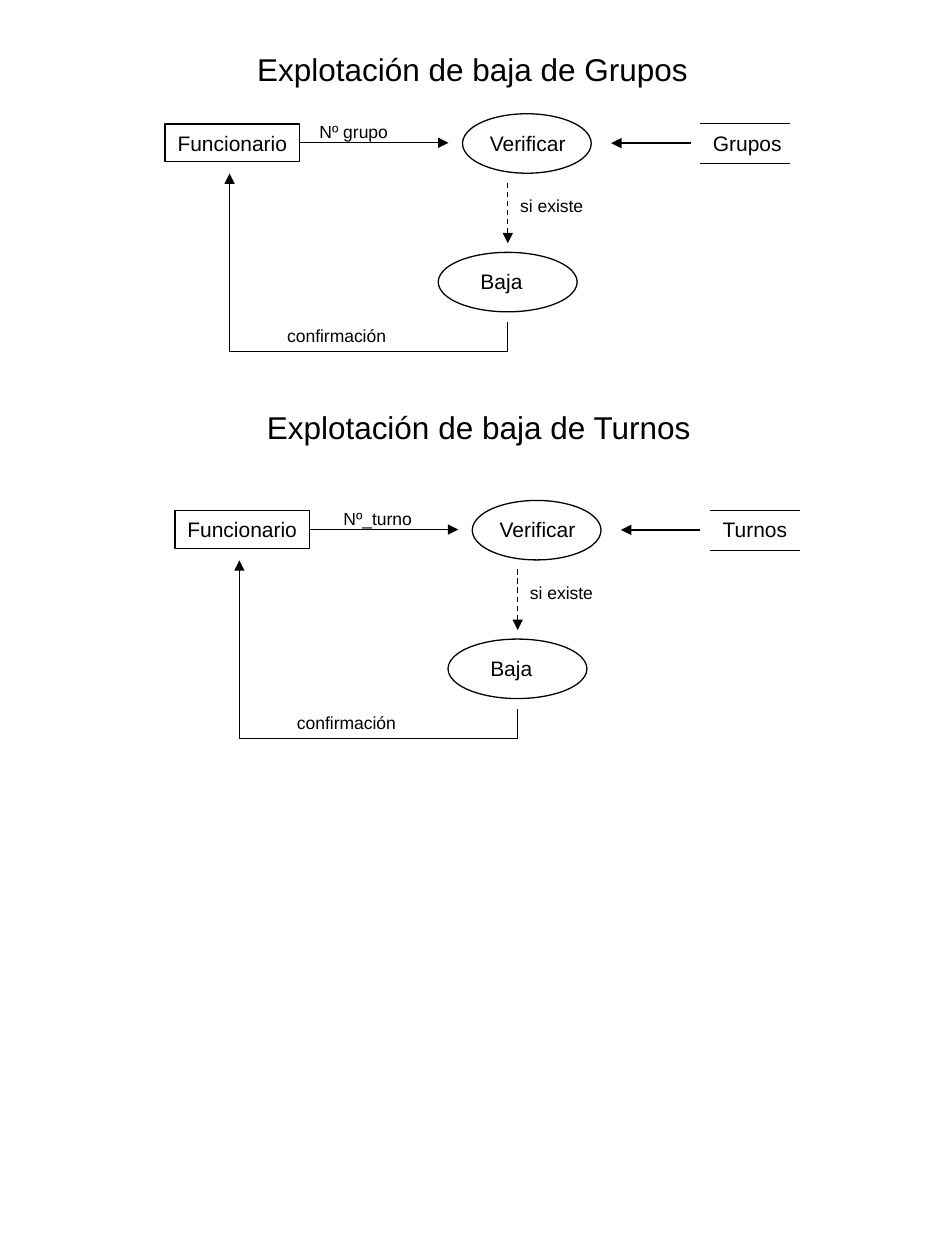
"""Build the slide with the data flows for deleting groups and shifts."""
from dataclasses import dataclass

from lxml import etree
from pptx import Presentation
from pptx.dml.color import RGBColor
from pptx.enum.dml import MSO_LINE
from pptx.enum.shapes import MSO_CONNECTOR as Connector, MSO_SHAPE as Preset
from pptx.enum.text import MSO_ANCHOR as Anchor, MSO_AUTO_SIZE as AutoSize, PP_ALIGN as Align
from pptx.oxml.ns import qn
from pptx.util import Pt


@dataclass(frozen=True)
class Theme:
    font: str = "Arial"
    ink: RGBColor = RGBColor(0, 0, 0)
    title: float = 18
    node: float = 12
    label: float = 10
    line: float = 0.75


theme = Theme()


def write(shape, text, size):
    frame = shape.text_frame
    frame.text = text
    frame.word_wrap = True
    frame.auto_size = AutoSize.NONE
    frame.vertical_anchor = Anchor.TOP
    frame.margin_left, frame.margin_right = Pt(7.2), Pt(0)
    frame.margin_top = frame.margin_bottom = Pt(3.6)
    paragraph = frame.paragraphs[0]
    paragraph.alignment = Align.LEFT
    paragraph.font.name = theme.font
    paragraph.font.size = Pt(size)
    paragraph.font.color.rgb = theme.ink


def draw_line(shapes, start, end, arrow=False, dashed=False):
    points = [Pt(value) for value in (*start, *end)]
    connector = shapes.add_connector(Connector.STRAIGHT, *points)
    connector.line.color.rgb = theme.ink
    connector.line.width = Pt(theme.line)
    if dashed:
        connector.line.dash_style = MSO_LINE.DASH
    if arrow:
        etree.SubElement(connector.line._get_or_add_ln(), qn("a:tailEnd"), type="triangle")
    etree.SubElement(connector._element.spPr, qn("a:effectLst"))
    return connector


presentation = Presentation()
presentation.slide_width, presentation.slide_height = Pt(540), Pt(720)
slide = presentation.slides.add_slide(presentation.slide_layouts[5])

first_title = slide.shapes.title
second_title = slide.shapes.add_textbox(Pt(0), Pt(0), Pt(0), Pt(0))
titles = [
    (first_title, "Explotación de baja de Grupos", 139.7, 25.2),
    (second_title, "Explotación de baja de Turnos", 145.4, 229.7),
]
for shape, text, left, top in titles:
    shape.left, shape.top, shape.width, shape.height = Pt(left), Pt(top), Pt(261), Pt(28.8)
    write(shape, text, theme.title)

flows = [
    ("Nº grupo", 175.5, "Grupos", 0, 0),
    ("Nº_turno", 189.2, "Turnos", 5.6, 221),
]
for key, key_left, store, dx, dy in flows:
    shapes = slide.shapes.add_group_shape().shapes

    outlines = [
        (Preset.RECTANGLE, 94.4, 70.8, 77, 21.6),
        (Preset.OVAL, 264.3, 65, 73.6, 34),
        (Preset.OVAL, 250.4, 144.2, 79.4, 34),
    ]
    nodes = []
    for preset, left, top, width, height in outlines:
        node = shapes.add_shape(preset, Pt(left + dx), Pt(top + dy), Pt(width), Pt(height))
        node.shadow.inherit = False
        node.fill.background()
        node.line.color.rgb = theme.ink
        node.line.width = Pt(theme.line)
        nodes.append(node)
    clerk = nodes[0]
    write(clerk, "Funcionario", theme.node)

    labels = [
        ("Verificar", 272.8, 70.8, 62.6, theme.node),
        ("Baja", 267.5, 150, 45.4, theme.node),
        (store, 400.3, 70.8, 53, theme.node),
        (key, key_left - dx, 65.5, 53.3, theme.label),
        ("si existe", 290.2, 108, 50.4, theme.label),
        ("confirmación", 157, 182.2, 70.6, theme.label),
    ]
    for text, left, top, width, size in labels:
        height = size * 1.2 + 7.2
        label = shapes.add_textbox(Pt(left + dx), Pt(top + dy), Pt(width), Pt(height))
        write(label, text, size)

    request = draw_line(shapes, (171.4 + dx, 81.6 + dy), (256.3 + dx, 81.6 + dy), arrow=True)
    request.begin_connect(clerk, 3)

    lines = [
        ((394.6, 81.8), (349.2, 81.8), True, False),
        ((290.2, 104.4), (290.2, 139), True, True),
        ((290.2, 184.3), (290.2, 200.9), False, False),
        ((290.2, 200.9), (131.2, 200.9), False, False),
        ((131.2, 200.9), (131.2, 99.2), True, False),
        ((400.3, 70.6), (451.4, 70.6), False, False),
        ((400.3, 93.4), (451.4, 93.4), False, False),
    ]
    for (x1, y1), (x2, y2), arrow, dashed in lines:
        draw_line(shapes, (x1 + dx, y1 + dy), (x2 + dx, y2 + dy), arrow, dashed)

presentation.save("out.pptx")
